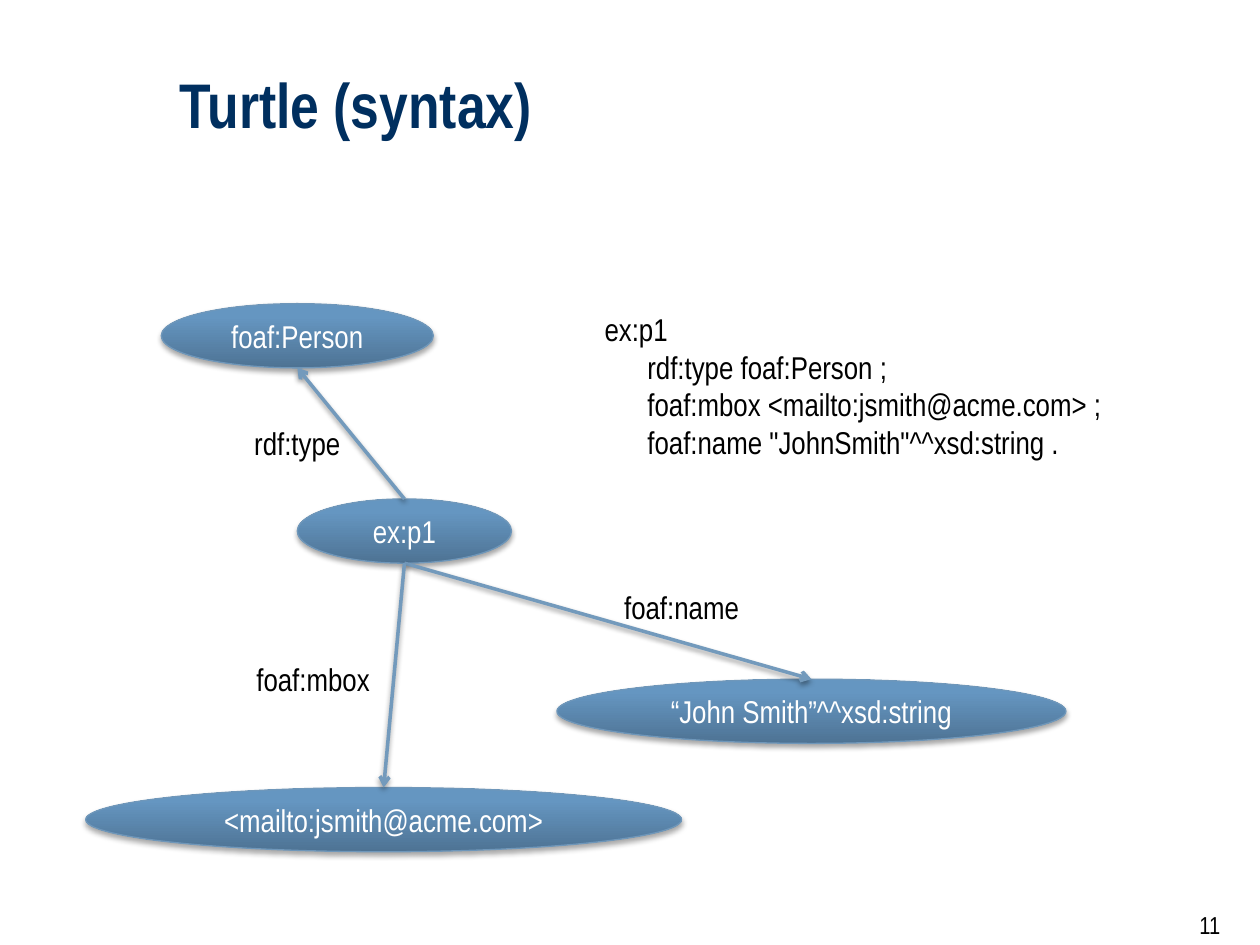
"""Build the Turtle syntax slide: an RDF graph beside its serialisation."""
from copy import deepcopy
from dataclasses import dataclass

from pptx import Presentation
from pptx.dml.color import RGBColor
from pptx.enum.shapes import MSO_CONNECTOR, MSO_SHAPE
from pptx.enum.text import MSO_ANCHOR, PP_ALIGN
from pptx.oxml import parse_xml
from pptx.oxml.ns import nsdecls, qn
from pptx.util import Emu, Inches, Pt

STRAIGHT = MSO_CONNECTOR.STRAIGHT
ELLIPSE = MSO_SHAPE.OVAL
TOP, MIDDLE, BOTTOM = MSO_ANCHOR.TOP, MSO_ANCHOR.MIDDLE, MSO_ANCHOR.BOTTOM
LEFT, CENTER = PP_ALIGN.LEFT, PP_ALIGN.CENTER

WIDTH, HEIGHT = Inches(10), Inches(7.5)
COLUMNS, ROWS = 100, 75
NODE_ROWS = 5.1
FONT = "Arial Narrow"
BLACK, WHITE, NAVY = "000000", "FFFFFF", "002F5F"
NODE_GRADIENT = ((0, "4E7394"), (0.8, "6596C1"), (1, "6497C3"))
NODE_LINE, EDGE_LINE = "6F97BA", "739ABC"


@dataclass
class Node:
    """An ellipse, placed in grid columns and rows."""
    text: str
    column: float
    row: float
    columns: float

    @property
    def center(self) -> float:
        """Return the column of the middle."""
        return self.column + self.columns / 2

    @property
    def bottom(self) -> float:
        """Return the row of the lower edge."""
        return self.row + NODE_ROWS


@dataclass
class Label:
    """A text box, placed in grid columns and rows."""
    lines: tuple
    column: float
    row: float
    columns: float
    rows: float = 4
    size: float = 18
    color: str = BLACK
    bold: bool = False
    align: int = CENTER
    anchor: int = TOP
    spacing: float = 1.0
    hanging: float = 0


SUBJECT = Node("ex:p1", 23.6, 39.6, 17)
PERSON = Node("foaf:Person", 12.8, 24.1, 21.6)
NAME = Node("“John Smith”^^xsd:string", 44.2, 53.9, 40.4)
MAILBOX = Node("<mailto:jsmith@acme.com>", 6.8, 62.5, 47.3)
TURTLE = (
    "ex:p1",
    "rdf:type foaf:Person ;",
    "foaf:mbox <mailto:jsmith@acme.com> ;",
    'foaf:name "JohnSmith"^^xsd:string .',
)
LABELS = (
    Label(("11",), 94.2, 71.7, 4.2, 3.4, size=14, align=LEFT),
    Label(("Turtle (syntax)",), 13.3, 2.2, 81.7, 9.5, size=36, color=NAVY,
          bold=True, align=LEFT, anchor=BOTTOM, spacing=0.85),
    Label(("rdf:type",), 17.8, 33.2, 11.6),
    Label(("foaf:name",), 47.8, 46.2, 12.6),
    Label(("foaf:mbox",), 17.6, 51.9, 14.5),
    Label(TURTLE, 47, 24.1, 50, 13.1, align=LEFT, hanging=3.4),
)


def across(columns: float) -> Emu:
    """Convert grid columns to a length."""
    return Emu(round(WIDTH * columns / COLUMNS))


def down(rows: float) -> Emu:
    """Convert grid rows to a length."""
    return Emu(round(HEIGHT * rows / ROWS))


def rgb(color: str) -> RGBColor:
    """Convert a hex string to a colour."""
    return RGBColor.from_string(color)


def style_paragraph(paragraph, text: str, size: float, color: str, align: int) -> None:
    """Fill a paragraph and set its font."""
    paragraph.text = text
    paragraph.alignment = align
    paragraph.font.name = FONT
    paragraph.font.size = Pt(size)
    paragraph.font.color.rgb = rgb(color)


def add_shadow(shape, distance: float, opacity: int) -> None:
    """Give a shape a soft shadow that falls straight down."""
    shape._element.spPr.append(parse_xml(
        f'<a:effectLst {nsdecls("a")}><a:outerShdw blurRad="{Pt(3.1)}" '
        f'dist="{Pt(distance)}" dir="5400000" rotWithShape="0">'
        f'<a:srgbClr val="{BLACK}"><a:alpha val="{opacity * 1000}"/></a:srgbClr>'
        '</a:outerShdw></a:effectLst>'))


def fill_gradient(shape) -> None:
    """Fill a shape with the three-stop gradient, dark at the bottom."""
    shape.fill.gradient()
    shape.fill.gradient_angle = 90
    stop_list = shape._element.spPr.find(qn("a:gradFill")).find(qn("a:gsLst"))
    stop_list.append(deepcopy(stop_list[0]))
    for stop, (position, color) in zip(shape.fill.gradient_stops, NODE_GRADIENT):
        stop.position = position
        stop.color.rgb = rgb(color)


def add_node(slide, node: Node) -> None:
    """Draw a graph node."""
    shape = slide.shapes.add_shape(
        ELLIPSE, across(node.column), down(node.row), across(node.columns), down(NODE_ROWS))
    fill_gradient(shape)
    shape.line.color.rgb = rgb(NODE_LINE)
    shape.line.width = Pt(0.75)
    add_shadow(shape, 1.8, 35)
    shape.text_frame.word_wrap = True
    shape.text_frame.vertical_anchor = MIDDLE
    style_paragraph(shape.text_frame.paragraphs[0], node.text, 18, WHITE, CENTER)


def add_edge(slide, source: Node, target: Node) -> None:
    """Draw an arrow between the facing edges of two nodes."""
    if target.row > source.row:
        start_row, end_row = source.bottom, target.row
    else:
        start_row, end_row = source.row, target.bottom
    connector = slide.shapes.add_connector(
        STRAIGHT, across(source.center), down(start_row), across(target.center), down(end_row))
    connector.line.color.rgb = rgb(EDGE_LINE)
    connector.line.width = Pt(2)
    connector._element.spPr.find(qn("a:ln")).append(
        parse_xml(f'<a:tailEnd {nsdecls("a")} type="arrow"/>'))
    add_shadow(connector, 1.6, 38)


def add_label(slide, label: Label) -> None:
    """Draw a text box, indenting every line after the first."""
    box = slide.shapes.add_textbox(
        across(label.column), down(label.row), across(label.columns), down(label.rows))
    frame = box.text_frame
    frame.word_wrap = True
    frame.vertical_anchor = label.anchor
    for index, line in enumerate(label.lines):
        paragraph = frame.add_paragraph() if index else frame.paragraphs[0]
        if index:
            paragraph._p.get_or_add_pPr().set("marL", str(across(label.hanging)))
        style_paragraph(paragraph, line, label.size, label.color, label.align)
        paragraph.font.bold = label.bold
        paragraph.line_spacing = label.spacing


def main() -> None:
    """Build and save the slide."""
    presentation = Presentation()
    presentation.slide_width, presentation.slide_height = WIDTH, HEIGHT
    slide = presentation.slides.add_slide(presentation.slide_layouts[6])
    for node in (SUBJECT, PERSON, NAME, MAILBOX):
        add_node(slide, node)
    for target in (NAME, PERSON, MAILBOX):
        add_edge(slide, SUBJECT, target)
    for label in LABELS:
        add_label(slide, label)
    presentation.save("out.pptx")


if __name__ == "__main__":
    main()
